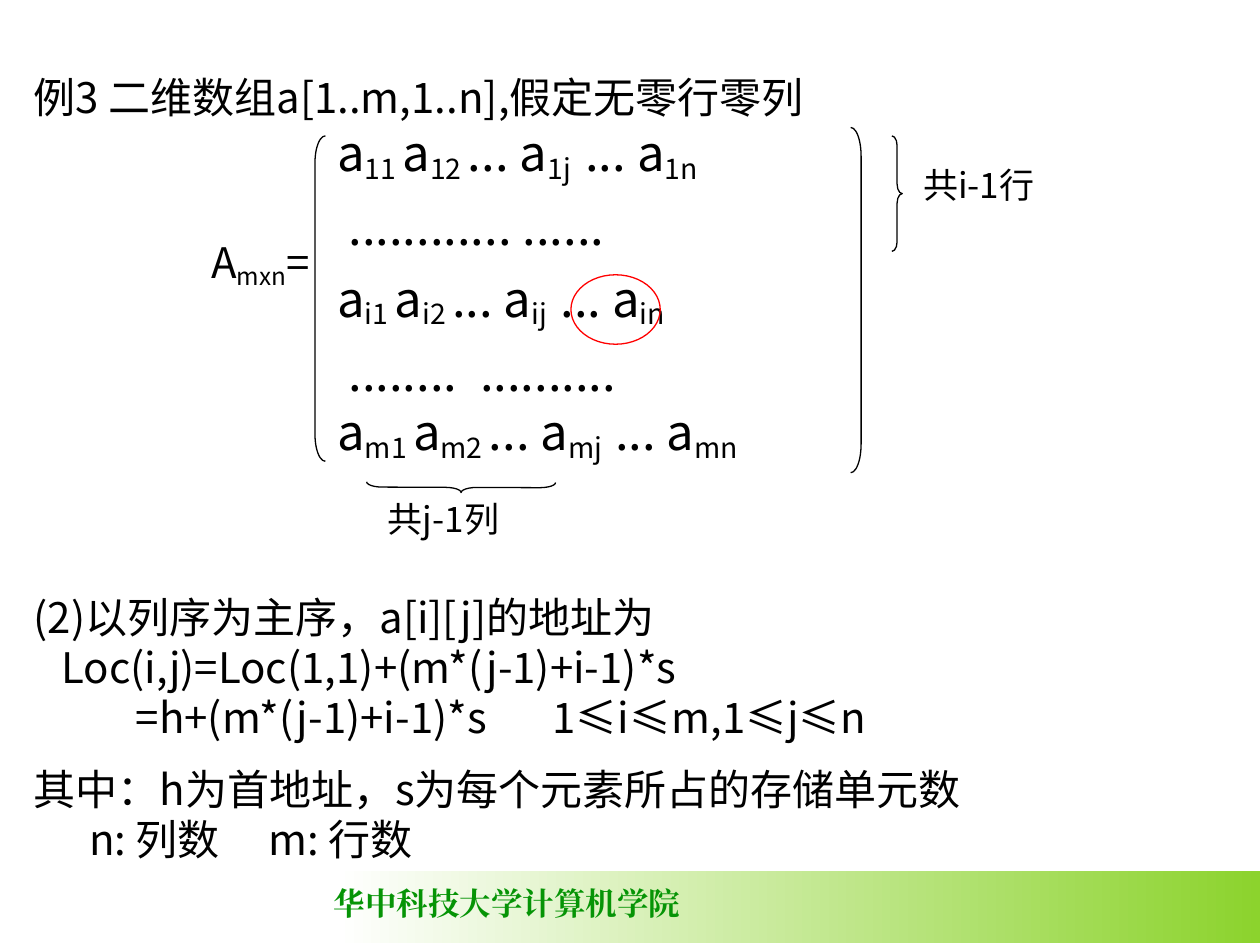
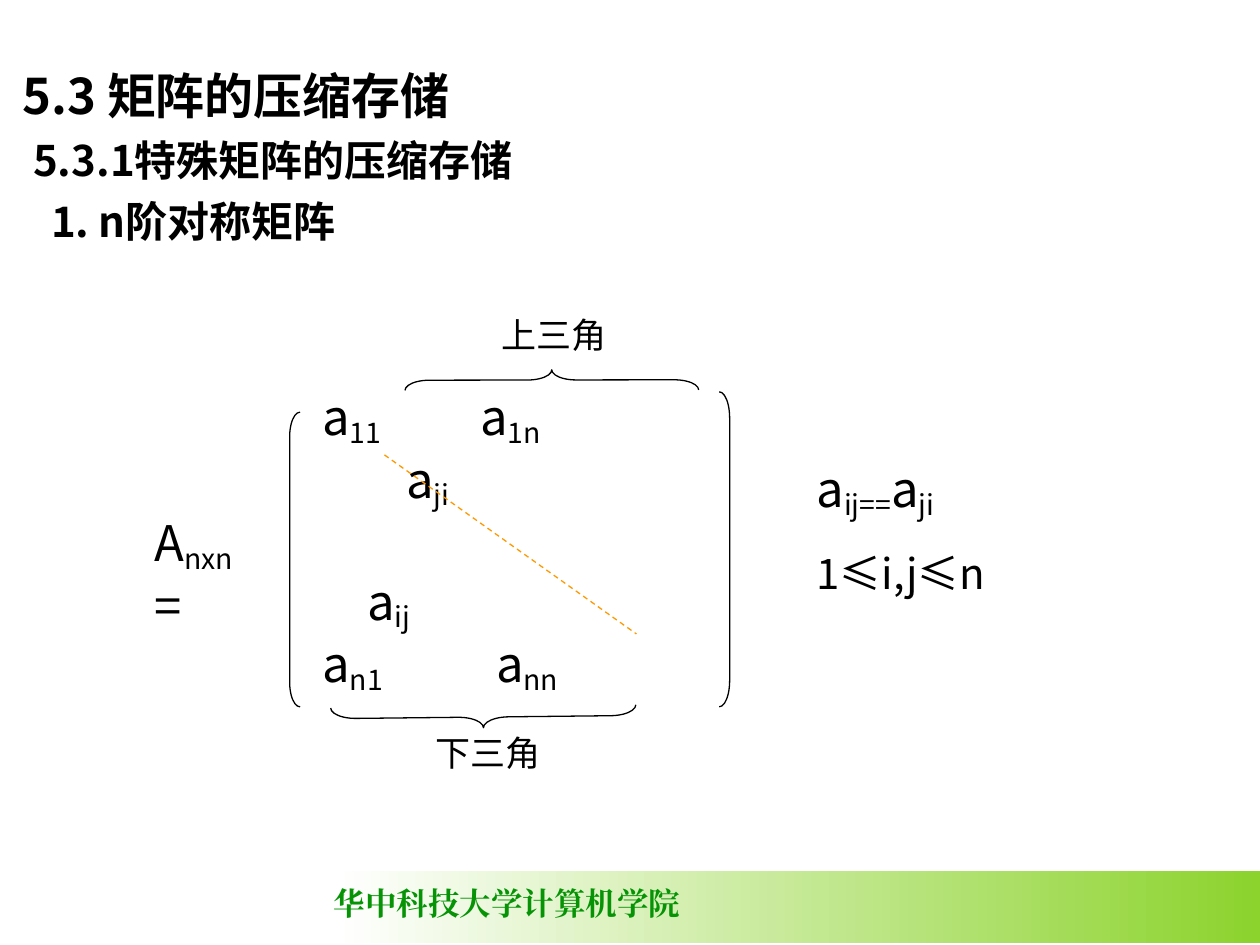
from lxml.etree import SubElement
from pptx import Presentation
from pptx.dml.color import RGBColor
from pptx.enum.dml import MSO_LINE
from pptx.enum.shapes import MSO_CONNECTOR, MSO_SHAPE
from pptx.oxml.ns import qn
from pptx.util import Cm, Pt

HUES = {"ink": "000000", "white": "FFFFFF", "lime": "8CD32D",
        "green": "069406", "red": "FF0000", "gold": "FF9900"}
SANS = "Noto Sans CJK SC"
SERIF = "Times New Roman"


def write(slide, box, rows, face=SANS, hue="ink", bold=False, pitch=None):
    frame = slide.shapes.add_textbox(*map(Cm, box)).text_frame
    frame.word_wrap = True
    for num, (text, size, gap, *tabs) in enumerate(rows):
        par = frame.add_paragraph() if num else frame.paragraphs[0]
        font = par.font
        font.name, font.size, font.bold = face, Pt(size), bold
        font.color.rgb = RGBColor.from_string(HUES[hue])
        par.space_before = Pt(gap)
        if pitch:
            par.line_spacing = pitch
        base = par._p.pPr.find(qn("a:defRPr"))
        SubElement(base, qn("a:ea"), typeface=face)
        if tabs:
            stops = SubElement(par._p.pPr, qn("a:tabLst"))
            base.addprevious(stops)
            for tab in tabs:
                SubElement(stops, qn("a:tab"), pos=str(Cm(tab)), algn="l")
        for part, piece in enumerate(text.split("|")):
            if piece:
                run = par.add_run()
                run.text = piece
                if part % 2:
                    run._r.get_or_add_rPr().set("baseline", "-16000")


def draw(slide, kind, box, turn=0, hue="ink"):
    shape = slide.shapes.add_shape(kind, *map(Cm, box))
    shape.shadow.inherit = False
    shape.fill.background()
    shape.line.color.rgb = RGBColor.from_string(HUES[hue])
    shape.line.width = Pt(0.75)
    shape.rotation = turn
    if kind != MSO_SHAPE.OVAL:
        shape.adjustments[0] = box[3] / box[2] / 12
    return shape


deck = Presentation()
deck.slide_width, deck.slide_height = Cm(25.4), Cm(19.05)
slides = []
for page in range(2):
    slide = deck.slides.add_slide(deck.slide_layouts[6])
    band = slide.shapes.add_shape(
        MSO_SHAPE.RECTANGLE, Cm(6.78), Cm(17.55), Cm(18.62), Cm(1.47))
    band.shadow.inherit = False
    band.line.fill.background()
    band.fill.gradient()
    band.fill.gradient_angle = 0
    for stop, place, hue in zip(band.fill.gradient_stops, (0, 1), ("white", "lime")):
        stop.position = place
        stop.color.rgb = RGBColor.from_string(HUES[hue])
    write(slide, (6.48, 17.7, 7.8, 1.02), [("华中科技大学计算机学院", 18, 0)],
          SERIF, "green", True)
    slides.append(slide)
array, half = slides

write(array, (0.43, 1.32, 24.33, 1.3),
      [("例3 二维数组a[1..m,1..n],假定无零行零列", 24, 0)])
write(array, (6.55, 2.34, 11.63, 7.16), [
    ("a|11 |a|12 |... a|1j|\t... a|1n", 28, 7, 5),
    ("\t............ ......", 28, 7, 0.23),
    ("a|i1 |a|i2 |... a|ij|\t... a|in", 28, 7, 4.5),
    ("\t........\t..........", 28, 7, 0.23, 2.88),
    ("a|m1 |a|m2 |... a|mj|\t... a|mn", 28, 0, 5.6)])
write(array, (4.01, 4.65, 2.54, 2.36), [("A|mxn|=", 24, 6)])
write(array, (0.43, 11.79, 23.29, 5.77), [
    ("(2)以列序为主序，a[i][j]的地址为", 24, 0),
    ("\tLoc(i,j)=Loc(1,1)+(m*(j-1)+i-1)*s", 24, 0, 0.56),
    ("\t=h+(m*(j-1)+i-1)*s\t1≤i≤m,1≤j≤n", 24, 0, 2.06, 10.46),
    ("其中：h为首地址，s为每个元素所占的存储单元数", 24, 12),
    ("\tn: 列数\tm: 行数", 24, 0, 1.12, 4.74)])
for left, top, label in ((18.36, 3.18, "共i-1行"), (7.57, 9.91, "共j-1列")):
    write(array, (left, top, 2.8, 1.12), [(label, 20, 0)])
draw(array, MSO_SHAPE.LEFT_BRACKET, (6.35, 2.74, 0.21, 6.56))
draw(array, MSO_SHAPE.RIGHT_BRACKET, (17.15, 2.57, 0.21, 6.96))
draw(array, MSO_SHAPE.RIGHT_BRACE, (17.98, 2.74, 0.21, 2.33))
draw(array, MSO_SHAPE.RIGHT_BRACE, (9.19, 7.92, 0.21, 3.81), 90.2)
draw(array, MSO_SHAPE.OVAL, (11.51, 5.54, 1.8, 1.4), hue="red")

write(half, (0.2, 1.19, 11.3, 4.52), [
    ("5.3 矩阵的压缩存储", 28, 7),
    ("\t5.3.1特殊矩阵的压缩存储", 24, 6, 0.22),
    ("\t1. n阶对称矩阵", 24, 6, 0.58)], bold=True)
write(half, (6.25, 7.67, 8.26, 6.48), [
    ("a|11|\ta|1n", 28, 0, 3.18),
    ("\ta|ji", 28, 0, 1.69),
    ("\ta|ij", 28, 34, 0.9),
    ("a|n1|\ta|nn", 28, 0, 3.5)])
write(half, (2.87, 10.21, 2.54, 2.72), [("A|nxn|=", 28, 7)])
write(half, (16.21, 9.3, 4.7, 2.9),
      [("a|ij==|a|ji", 28, 0), ("1≤i,j≤n", 24, 23)], pitch=0.8)
for left, top, label in ((9.86, 6.2, "上三角"), (8.53, 14.63, "下三角")):
    write(half, (left, top, 2.8, 1.12), [(label, 20, 0)])
draw(half, MSO_SHAPE.LEFT_BRACKET, (5.84, 8.31, 0.21, 5.94))
draw(half, MSO_SHAPE.RIGHT_BRACKET, (14.5, 7.9, 0.21, 6.35))
draw(half, MSO_SHAPE.LEFT_BRACE, (9.53, 11.38, 0.43, 6.15), 269.4)
draw(half, MSO_SHAPE.RIGHT_BRACE, (10.92, 4.7, 0.41, 5.92), 269.9)
dash = half.shapes.add_connector(
    MSO_CONNECTOR.STRAIGHT, Cm(7.75), Cm(9.17), Cm(12.83), Cm(12.78))
dash.line.color.rgb = RGBColor.from_string(HUES["gold"])
dash.line.width = Pt(0.75)
dash.line.dash_style = MSO_LINE.DASH
SubElement(dash._element.spPr, qn("a:effectLst"))

deck.save("out.pptx")
